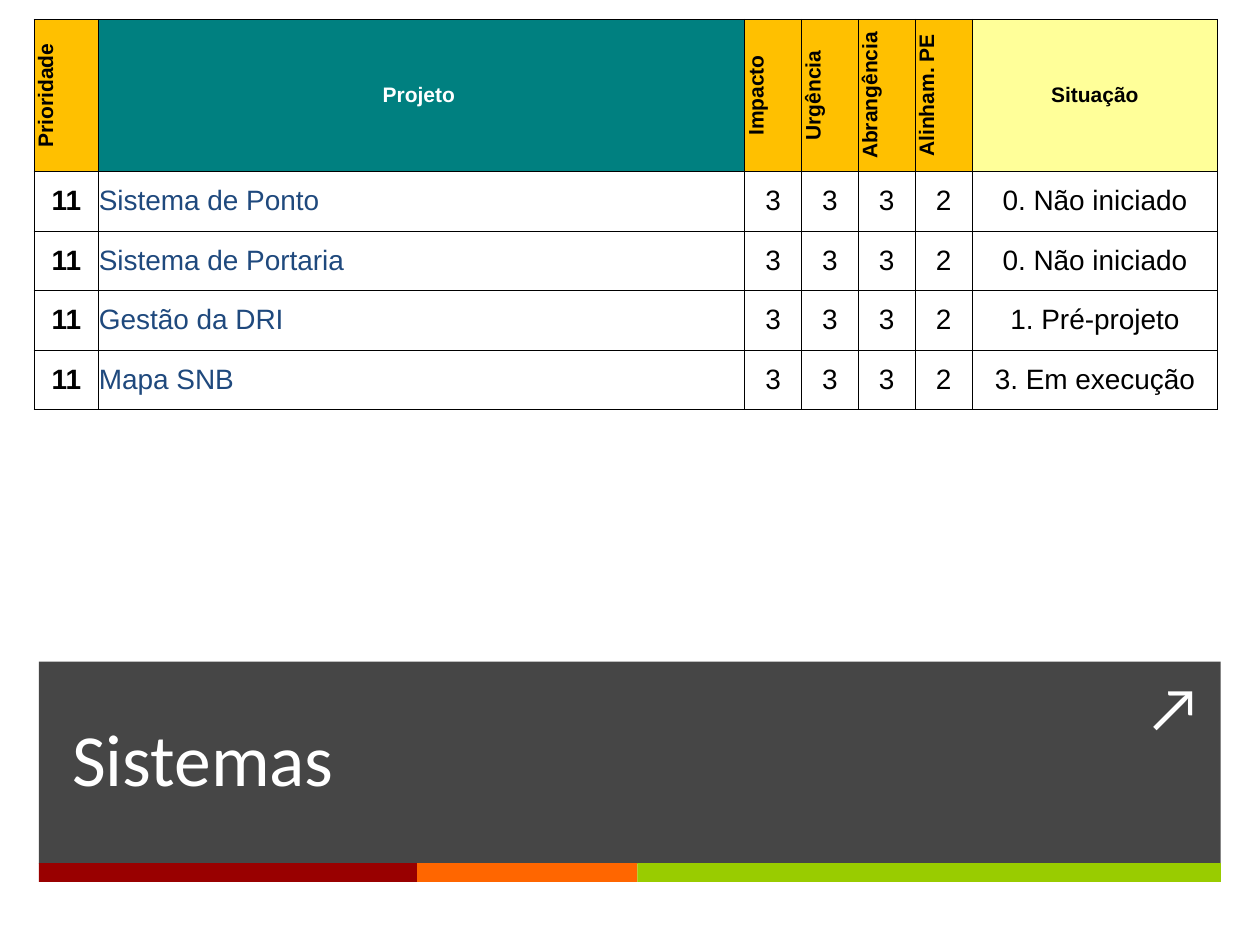
from pptx import Presentation
from pptx.dml.color import RGBColor
from pptx.enum import shapes, text
from pptx.oxml import ns
from pptx.util import Pt
from lxml import etree

WHITE = RGBColor(0xFF, 0xFF, 0xFF)
BLACK = RGBColor(0, 0, 0)
GREY = RGBColor(0x26, 0x26, 0x26)
RED = RGBColor(0x99, 0, 0)
ORANGE = RGBColor(0xFF, 0x66, 0)
GREEN = RGBColor(0x99, 0xCC, 0)
AMBER = RGBColor(0xFF, 0xC0, 0)
TEAL = RGBColor(0, 0x80, 0x80)
CREAM = RGBColor(0xFF, 0xFF, 0x99)
NAVY = RGBColor(0x1F, 0x49, 0x7D)

LEFT = text.PP_ALIGN.LEFT
MID = text.PP_ALIGN.CENTER

COLS = [37, 369, 32.5, 32.5, 32.5, 32.5, 140.5]
HEAD = 87
ROW = 34
HEADS = [
    ("Prioridade", AMBER), ("Projeto ", TEAL), ("Impacto", AMBER),
    ("Urgência", AMBER), ("Abrangência", AMBER), ("Alinham. PE", AMBER),
    ("Situação", CREAM),
]
ITEMS = [
    ("Sistema de Ponto", "0. Não iniciado"),
    ("Sistema de Portaria", "0. Não iniciado"),
    ("Gestão da DRI", "1. Pré-projeto"),
    ("Mapa SNB", "3. Em execução"),
]
BARS = [(216, RED), (126, ORANGE), (333.4, GREEN)]


def write(frame, words, size=16, font="Arial", color=BLACK, bold=False, align=LEFT):
    par = frame.paragraphs[0]
    par.alignment = align
    run = par.add_run()
    run.text = words
    run.font.size = Pt(size)
    run.font.name = font
    run.font.bold = bold
    run.font.color.rgb = color


def add_bar(slide, x, y, w, h, color, alpha=None):
    bar = slide.shapes.add_shape(
        shapes.MSO_SHAPE.RECTANGLE, Pt(x), Pt(y), Pt(w), Pt(h))
    bar.shadow.inherit = False
    bar.fill.solid()
    bar.fill.fore_color.rgb = color
    bar.line.fill.background()
    if alpha:
        tone = bar.element.spPr.find(".//" + ns.qn("a:srgbClr"))
        etree.SubElement(tone, ns.qn("a:alpha"), val=str(alpha * 1000))


def add_edges(cell):
    props = cell._tc.get_or_add_tcPr()
    for spot, side in enumerate(("a:lnL", "a:lnR", "a:lnT", "a:lnB")):
        line = etree.Element(ns.qn(side), w=str(Pt(0.5)))
        fill = etree.SubElement(line, ns.qn("a:solidFill"))
        etree.SubElement(fill, ns.qn("a:srgbClr"), val=str(BLACK))
        props.insert(spot, line)


def fill_cell(cell, words, back=None, turn=False, **style):
    cell.margin_left = cell.margin_right = 0
    cell.margin_top = cell.margin_bottom = 0
    cell.vertical_anchor = text.MSO_ANCHOR.MIDDLE
    if back is None:
        cell.fill.background()
    else:
        cell.fill.solid()
        cell.fill.fore_color.rgb = back
    if turn:
        cell._tc.get_or_add_tcPr().set("vert", "vert270")
    write(cell.text_frame, words, **style)
    add_edges(cell)


def add_grid(slide):
    count = len(ITEMS) + 1
    grid = slide.shapes.add_table(
        count, len(COLS), Pt(19.5), Pt(11), Pt(sum(COLS)),
        Pt(HEAD + ROW * len(ITEMS))).table
    grid.first_row = grid.horz_banding = False
    for col, width in zip(grid.columns, COLS):
        col.width = Pt(width)
    for row, height in zip(grid.rows, [HEAD] + [ROW] * len(ITEMS)):
        row.height = Pt(height)
    for c, (words, back) in enumerate(HEADS):
        fill_cell(grid.cell(0, c), words, back, turn=back == AMBER, size=12,
                  bold=True, align=MID, color=WHITE if back == TEAL else BLACK)
    for r, (name, state) in enumerate(ITEMS, 1):
        for c, words in enumerate(["11", name, "3", "3", "3", "2", state]):
            fill_cell(grid.cell(r, c), words, bold=c == 0,
                      align=LEFT if c == 1 else MID,
                      color=NAVY if c == 1 else BLACK)


def add_arrow(slide):
    box = slide.shapes.add_textbox(Pt(648), Pt(378), Pt(46), Pt(51))
    box.text_frame.word_wrap = False
    write(box.text_frame, "↗", size=36, font="Calibri", color=WHITE)


def set_title(slide):
    title = slide.shapes.title
    title.left, title.top = Pt(34), Pt(379)
    title.width, title.height = Pt(612), Pt(82.5)
    title.text_frame.vertical_anchor = text.MSO_ANCHOR.BOTTOM
    write(title.text_frame, "Sistemas", size=42, font="Calibri", color=WHITE)
    title.element.getparent().append(title.element)


def main():
    deck = Presentation()
    deck.slide_width, deck.slide_height = Pt(720), Pt(540)
    slide = deck.slides.add_slide(deck.slide_layouts[5])
    x = 22.3
    add_bar(slide, x, 378, 675.2, 115.5, GREY, alpha=85)
    for width, color in BARS:
        add_bar(slide, x, 493.2, width, 10.8, color)
        x += width
    add_arrow(slide)
    set_title(slide)
    add_grid(slide)
    deck.save("out.pptx")


if __name__ == "__main__":
    main()
